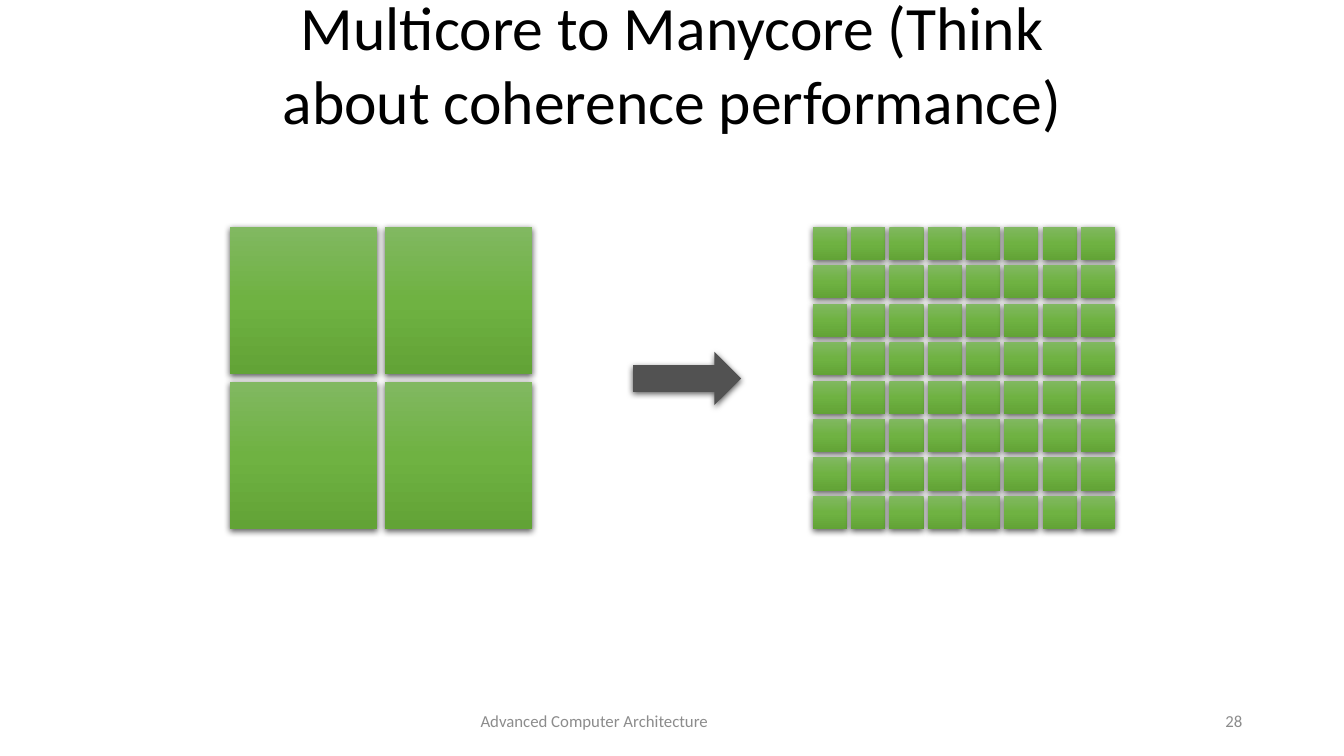
"""Build the slide that compares a multicore chip with a manycore chip."""
from copy import deepcopy
from dataclasses import dataclass
from itertools import product

from lxml import etree
from pptx import Presentation
from pptx.dml.color import RGBColor
from pptx.enum.shapes import MSO_SHAPE
from pptx.enum.text import MSO_ANCHOR, PP_ALIGN
from pptx.oxml.ns import qn
from pptx.shapes.autoshape import Shape
from pptx.slide import Slide
from pptx.util import Inches, Pt

RECTANGLE = MSO_SHAPE.RECTANGLE
RIGHT_ARROW = MSO_SHAPE.RIGHT_ARROW
MIDDLE = MSO_ANCHOR.MIDDLE
CENTER = PP_ALIGN.CENTER
RIGHT = PP_ALIGN.RIGHT


@dataclass(frozen=True)
class Theme:
    font: str = "Calibri"
    title_size: int = 44
    footer_size: int = 12
    title_color: str = "000000"
    footer_color: str = "8C8C8C"
    arrow_color: str = "525252"
    shadow_color: str = "000000"
    core_gradient: tuple[str, str, str] = ("81B861", "6FB242", "62A336")


@dataclass(frozen=True)
class Box:
    left: float
    top: float
    width: float
    height: float

    def lengths(self) -> tuple[Inches, Inches, Inches, Inches]:
        return Inches(self.left), Inches(self.top), Inches(self.width), Inches(self.height)


@dataclass(frozen=True)
class Chip:
    first_core: Box
    last_left: float
    last_top: float
    cores_per_side: int


@dataclass(frozen=True)
class FooterItem:
    text: str
    box: Box
    align: PP_ALIGN


THEME = Theme()
TITLE = "Multicore to Manycore (Think about coherence performance)"
TITLE_BOX = Box(2.17, 0, 9, 1.25)
ARROW_BOX = Box(6.28, 3.49, 1.07, 0.53)
CHIPS = (
    Chip(Box(8.06, 2.25, 0.34, 0.33), 10.72, 4.92, 8),
    Chip(Box(2.28, 2.25, 1.46, 1.46), 3.82, 3.79, 2),
)
FOOTER = (
    FooterItem("Advanced Computer Architecture", Box(2.87, 6.95, 6.05, 0.4), CENTER),
    FooterItem("28", Box(9.42, 6.95, 3, 0.4), RIGHT),
)


def format_text(holder: Shape, size: int, color: str, align: PP_ALIGN) -> None:
    frame = holder.text_frame
    frame.word_wrap = True
    frame.vertical_anchor = MIDDLE
    paragraph = frame.paragraphs[0]
    paragraph.alignment = align
    for run in paragraph.runs:
        run.font.name = THEME.font
        run.font.size = Pt(size)
        run.font.color.rgb = RGBColor.from_string(color)


def add_soft_shadow(shape: Shape) -> None:
    shape.shadow.inherit = False
    effects = shape._element.spPr.find(qn("a:effectLst"))
    shadow = etree.SubElement(
        effects, qn("a:outerShdw"), blurRad=str(Pt(4.5)), dist=str(Pt(1.5)),
        dir="5400000", algn="ctr", rotWithShape="0",
    )
    color = etree.SubElement(shadow, qn("a:srgbClr"), val=THEME.shadow_color)
    etree.SubElement(color, qn("a:alpha"), val="63000")


def fill_core(core: Shape) -> None:
    core.fill.gradient()
    core.fill.gradient_angle = 270
    stop_list = core._element.spPr.find(qn("a:gradFill")).find(qn("a:gsLst"))
    middle_stop = deepcopy(stop_list[0])
    middle_stop.set("pos", "50000")
    stop_list.insert(1, middle_stop)
    for stop, color in zip(core.fill.gradient_stops, THEME.core_gradient):
        stop.color.rgb = RGBColor.from_string(color)


def add_chip(slide: Slide, chip: Chip) -> None:
    cores = slide.shapes.add_group_shape().shapes
    first = chip.first_core
    gaps = chip.cores_per_side - 1
    column_step = (chip.last_left - first.left) / gaps
    row_step = (chip.last_top - first.top) / gaps
    for row, column in product(range(chip.cores_per_side), repeat=2):
        box = Box(first.left + column * column_step, first.top + row * row_step,
                  first.width, first.height)
        core = cores.add_shape(RECTANGLE, *box.lengths())
        fill_core(core)
        core.line.fill.background()
        add_soft_shadow(core)


def add_arrow(slide: Slide) -> None:
    arrow = slide.shapes.add_shape(RIGHT_ARROW, *ARROW_BOX.lengths())
    arrow.fill.solid()
    arrow.fill.fore_color.rgb = RGBColor.from_string(THEME.arrow_color)
    arrow.line.fill.background()
    add_soft_shadow(arrow)


def add_title(slide: Slide) -> None:
    title = slide.shapes.title
    title.left, title.top, title.width, title.height = TITLE_BOX.lengths()
    title.text_frame.text = TITLE
    format_text(title, THEME.title_size, THEME.title_color, CENTER)


def add_footer_item(slide: Slide, item: FooterItem) -> None:
    footer = slide.shapes.add_textbox(*item.box.lengths())
    footer.text_frame.text = item.text
    format_text(footer, THEME.footer_size, THEME.footer_color, item.align)


def main() -> None:
    deck = Presentation()
    deck.slide_width, deck.slide_height = Inches(13.33), Inches(7.5)
    slide = deck.slides.add_slide(deck.slide_layouts.get_by_name("Title Only"))
    add_title(slide)
    for chip in CHIPS:
        add_chip(slide, chip)
    add_arrow(slide)
    for item in FOOTER:
        add_footer_item(slide, item)
    deck.save("out.pptx")


if __name__ == "__main__":
    main()
